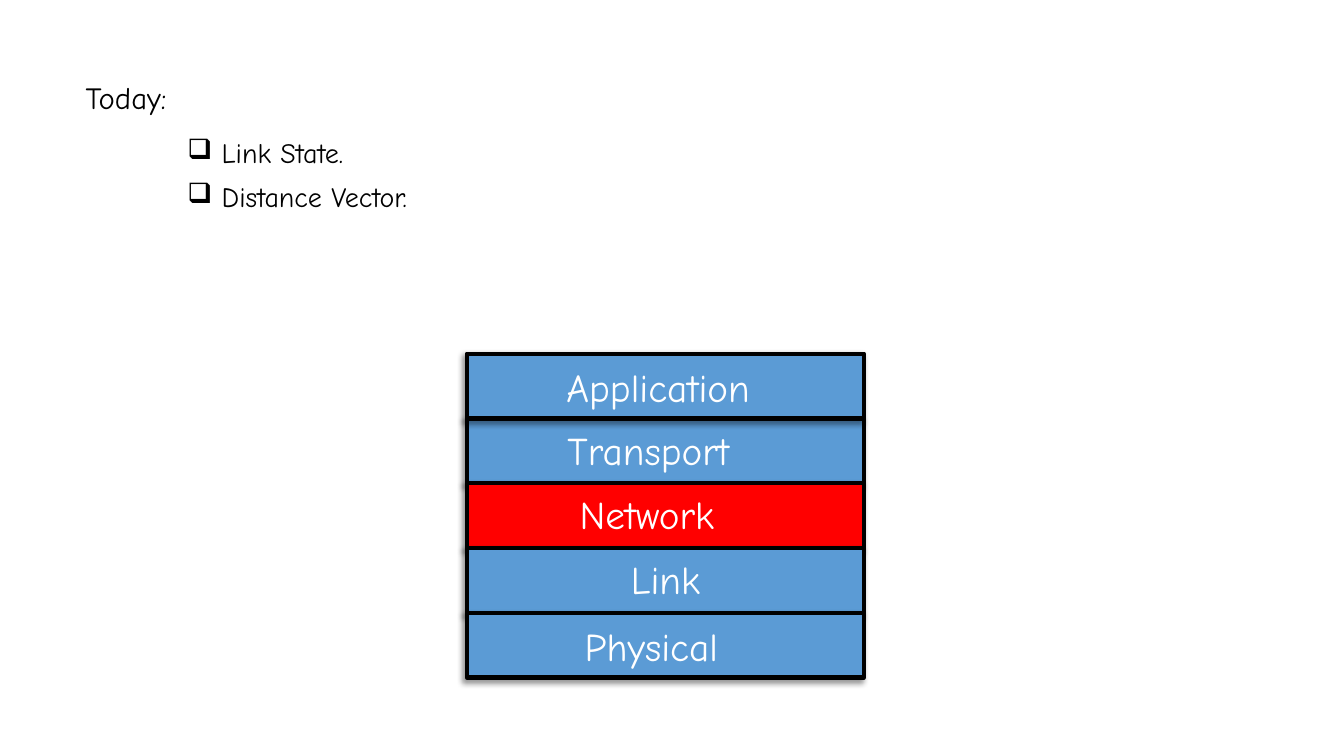
from lxml.etree import SubElement
from pptx import Presentation
from pptx.dml.color import RGBColor
from pptx.enum.shapes import MSO_SHAPE as Shape
from pptx.enum.text import MSO_AUTO_SIZE as AutoSize, PP_ALIGN as Align
from pptx.oxml.ns import qn
from pptx.util import Inches, Pt

COLORS = {"black": "000000", "white": "FFFFFF", "blue": "5B9BD5", "red": "FF0000"}
FONT = "Comic Neue"
STACK_LEFT, STACK_TOP = 4.63, 3.51
LAYER_WIDTH, LAYER_HEIGHT = 3.94, 0.6425
LABEL_WIDTH, LABEL_HEIGHT = 2.42, 0.57
HANGING = 0.34


def color(name):
    """Return the named colour."""
    return RGBColor.from_string(COLORS[name])


def set_values(target, values):
    """Set each attribute of the target from a dict."""
    for name, value in values.items():
        setattr(target, name, value)


def add_text(page, place, lines, size, tint="black", paragraph_format=None, bullet=None):
    """Add a text box with one paragraph per line."""
    box = page.shapes.add_textbox(*map(Inches, place))
    frame = box.text_frame
    frame.word_wrap = True
    for index, line in enumerate(lines):
        para = frame.add_paragraph() if index else frame.paragraphs[0]
        set_values(para, paragraph_format or {})
        if index:
            para.space_before = Pt(10)
        if bullet:
            add_bullet(para, bullet)
        span = para.add_run()
        span.text = line
        set_values(span.font, {"name": FONT, "size": Pt(size)})
        span.font.color.rgb = color(tint)
    return box


def add_bullet(para, mark):
    """Give a paragraph a bullet with a hanging indent."""
    properties = para._p.get_or_add_pPr()
    properties.set("marL", str(Inches(HANGING)))
    properties.set("indent", str(-Inches(HANGING)))
    SubElement(properties, qn("a:buChar"), char=mark)


def add_shadow(shape):
    """Give a shape a soft shadow to the lower left."""
    effects = SubElement(shape._element.spPr, qn("a:effectLst"))
    shadow = SubElement(
        effects, qn("a:outerShdw"), blurRad=str(Pt(4)), dist=str(Pt(3)),
        dir=str(135 * 60000), algn="tr", rotWithShape="0",
    )
    tint = SubElement(shadow, qn("a:srgbClr"), val=COLORS["black"])
    SubElement(tint, qn("a:alpha"), val="40000")


def add_layer(page, row, fill):
    """Add the bar of one network layer."""
    top = STACK_TOP + row * LAYER_HEIGHT
    place = (STACK_LEFT, top, LAYER_WIDTH, LAYER_HEIGHT)
    bar = page.shapes.add_shape(Shape.RECTANGLE, *map(Inches, place))
    bar.fill.solid()
    bar.fill.fore_color.rgb = color(fill)
    bar.line.color.rgb = color("black")
    bar.line.width = Pt(3)
    add_shadow(bar)


def add_label(page, text, left, top, alignment):
    """Add the name of one network layer."""
    place = (left, top, LABEL_WIDTH, LABEL_HEIGHT)
    box = add_text(page, place, [text], 28, "white", {"alignment": alignment})
    box.text_frame.auto_size = AutoSize.SHAPE_TO_FIT_TEXT


def main():
    """Build the agenda slide with the layer stack."""
    deck = Presentation()
    set_values(deck, {"slide_width": Inches(13.33), "slide_height": Inches(7.5)})
    page = deck.slides.add_slide(deck.slide_layouts[6])

    tight = {"line_spacing": 0.9}
    add_text(page, (0.75, 0.77, 11.5, 0.51), ["Today:"], 22, paragraph_format=tight)
    topics = ["Link State.", "Distance Vector."]
    add_text(page, (1.76, 1.33, 11.12, 2.14), topics, 20, paragraph_format=tight, bullet="❑")

    layers = [
        ("Application", "blue", 5.52, 3.56, Align.LEFT),
        ("Transport", "blue", 5.53, 4.18, Align.LEFT),
        ("Network", "red", 5.65, 4.82, Align.LEFT),
        ("Link", "blue", 5.39, 5.46, Align.CENTER),
        ("Physical", "blue", 5.7, 6.12, Align.LEFT),
    ]
    for row in (1, 0, 2, 3, 4):
        add_layer(page, row, layers[row][1])
    for name, _, left, top, alignment in layers:
        add_label(page, name, left, top, alignment)

    deck.save("out.pptx")


if __name__ == "__main__":
    main()
